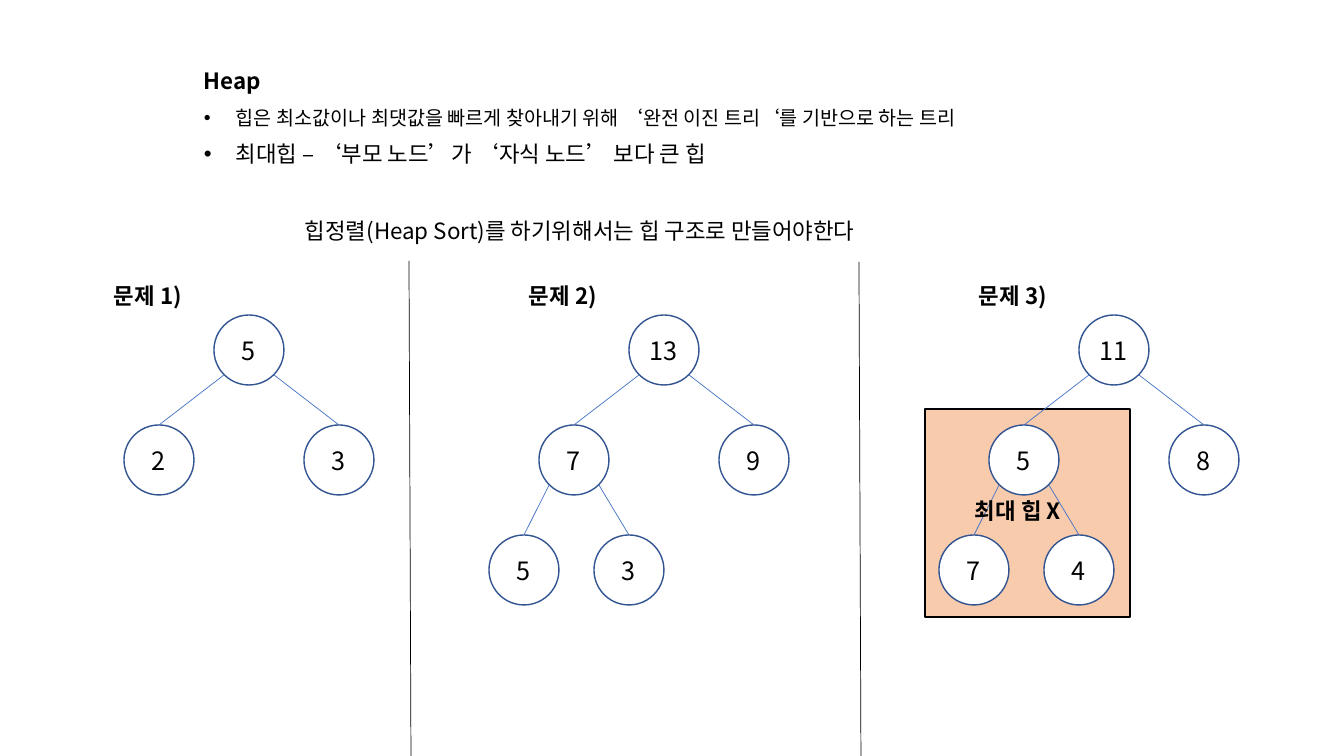
"""Build a slide that explains max heaps with three example trees."""
from math import sqrt
from lxml.etree import SubElement
from pptx import Presentation
from pptx.dml.color import RGBColor
from pptx.enum.shapes import MSO_CONNECTOR as Connector, MSO_SHAPE as Shape
from pptx.enum.text import MSO_ANCHOR as Anchor, PP_ALIGN as Align
from pptx.oxml.ns import qn
from pptx.util import Pt

PX = 914400 / 100.8
FONT = "Noto Sans CJK KR"
BLACK, WHITE, OUTLINE, EDGE, PEACH = "000000", "FFFFFF", "325491", "4472C4", "F8CBAD"
NODE = 70
ROOT_TOP, LEVEL = 315, 110
LABEL_SHIFT, LABEL_TOP = -110, 280

INTRO_BOX = (194, 65, 955, 196)
INTRO = [
    ("Heap", dict(size=16, bold=True)),
    ("힙은 최소값이나 최댓값을 빠르게 찾아내기 위해 ‘완전 이진 트리‘를 기반으로 하는 트리",
     dict(size=14, bullet=True)),
    ("최대힙 – ‘부모 노드’가 ‘자식 노드’ 보다 큰 힙", dict(size=16, bullet=True)),
    ("힙정렬(Heap Sort)를 하기위해서는 힙 구조로 만들어야한다",
     dict(size=16, before=37.5, margin=101)),
]
HEAPS = [
    ("문제 1)", 214, ["5", "2", "3"]),
    ("문제 2)", 629, ["13", "7", "9", "5", "3"]),
    ("문제 3)", 1079, ["11", "5", "8", "7", "4"]),
]
CHILD_SHIFTS = {0: (-90, 90), 1: (-50, 55)}
DIVIDERS = [(409, 261, 411, 756), (859, 262, 861, 758)]
VIOLATION = (925, 409, 205, 208)
VERDICT = ("최대 힙 X", (965, 495, 118, 35))


def emu(*lengths):
    return [round(length * PX) for length in lengths]


def color(hex_code):
    return RGBColor.from_string(hex_code)


def write(paragraph, text, size, bold=False):
    run = paragraph.add_run()
    run.text = text
    for name, value in dict(name=FONT, size=Pt(size), bold=bold).items():
        setattr(run.font, name, value)
    run.font.color.rgb = color(BLACK)
    SubElement(run.font._element, qn("a:ea")).set("typeface", FONT)


def add_text(box, items):
    frame = slide.shapes.add_textbox(*emu(*box)).text_frame
    frame.word_wrap = True
    for index, (text, style) in enumerate(items):
        paragraph = frame.add_paragraph() if index else frame.paragraphs[0]
        paragraph.line_spacing = 0.9
        paragraph.space_before = Pt(style.get("before", 10))
        write(paragraph, text, style["size"], style.get("bold", False))
        bullet = style.get("bullet")
        margin, = emu(32 if bullet else style.get("margin", 0))
        properties = paragraph._p.get_or_add_pPr()
        properties.set("marL", str(margin))
        properties.set("indent", str(-margin if bullet else 0))
        if bullet:
            SubElement(properties, qn("a:buFont")).set("typeface", "Arial")
            SubElement(properties, qn("a:buChar")).set("char", "•")


def add_panel(kind, box, fill, line):
    panel = slide.shapes.add_shape(kind, *emu(*box))
    panel.shadow.inherit = False
    panel.fill.solid()
    panel.fill.fore_color.rgb = color(fill)
    panel.line.color.rgb = color(line)
    panel.line.width = Pt(1)
    return panel


def add_line(ends, line):
    connector = slide.shapes.add_connector(Connector.STRAIGHT, *emu(*ends))
    connector.line.color.rgb = color(line)
    connector.line.width = Pt(0.5)
    SubElement(connector._element.spPr, qn("a:effectLst"))


def add_node(value, left, top):
    frame = add_panel(Shape.OVAL, (left, top, NODE, NODE), WHITE, OUTLINE).text_frame
    frame.word_wrap = False
    frame.vertical_anchor = Anchor.MIDDLE
    frame.paragraphs[0].alignment = Align.CENTER
    write(frame.paragraphs[0], value, 18)


def add_heap(label, root_left, values):
    add_text((root_left + LABEL_SHIFT, LABEL_TOP, 91, 35),
             [(label, dict(size=16, bold=True))])
    places = [(root_left, ROOT_TOP)]
    radius = NODE / 2
    reach = radius / sqrt(2)
    for index, value in enumerate(values):
        if index:
            parent = (index - 1) // 2
            side = (index - 1) % 2
            parent_left, parent_top = places[parent]
            left = parent_left + CHILD_SHIFTS[parent][side]
            top = parent_top + LEVEL
            places.append((left, top))
            start = parent_left + radius + (reach if side else -reach)
            add_line((start, parent_top + radius + reach, left + radius, top), EDGE)
        add_node(value, *places[index])


deck = Presentation()
deck.slide_width, deck.slide_height = emu(1344, 756)
slide = deck.slides.add_slide(deck.slide_layouts[6])

add_panel(Shape.RECTANGLE, VIOLATION, PEACH, BLACK)
add_text(INTRO_BOX, INTRO)
for divider in DIVIDERS:
    add_line(divider, BLACK)
for heap in HEAPS:
    add_heap(*heap)
verdict, verdict_box = VERDICT
add_text(verdict_box, [(verdict, dict(size=16, bold=True))])

deck.save("out.pptx")
